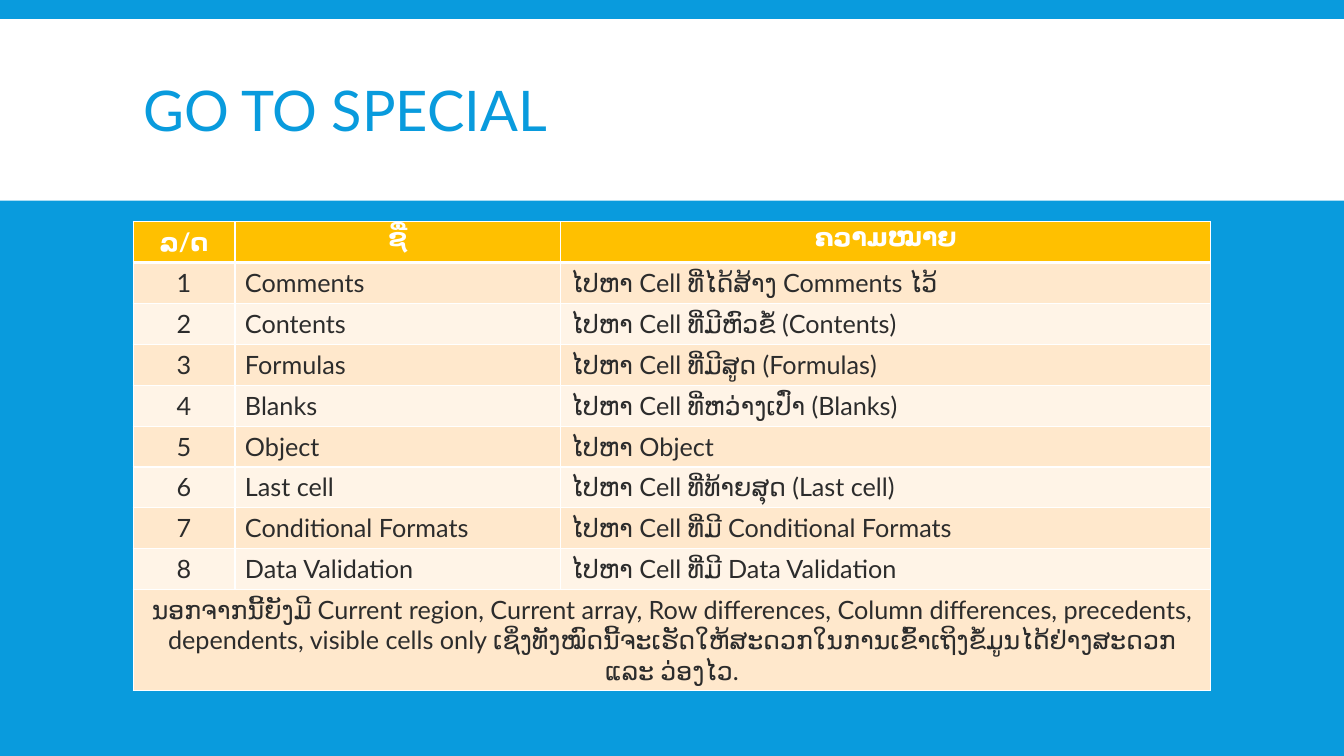
from lxml.etree import SubElement
from pptx import Presentation
from pptx.dml.color import RGBColor
from pptx.enum.shapes import MSO_SHAPE as Shape
from pptx.enum.text import MSO_ANCHOR as Anchor, PP_ALIGN as Align
from pptx.oxml.ns import qn
from pptx.util import Inches, Pt

TITLE = "GO TO SPECIAL"
HEADS = ("ລ/ດ", "ຊື່", "ຄວາມໝາຍ")
ITEMS = [
    ("Comments", "ໄປຫາ Cell ທີ່ໄດ້ສ້າງ Comments ໄວ້"),
    ("Contents", "ໄປຫາ Cell ທີ່ມີຫົວຂໍ້ (Contents)"),
    ("Formulas", "ໄປຫາ Cell ທີ່ມີສູດ (Formulas)"),
    ("Blanks", "ໄປຫາ Cell ທີ່ຫວ່າງເປົ່າ (Blanks)"),
    ("Object", "ໄປຫາ Object"),
    ("Last cell", "ໄປຫາ Cell ທີ່ທ້າຍສຸດ (Last cell)"),
    ("Conditional Formats", "ໄປຫາ Cell ທີ່ມີ Conditional Formats"),
    ("Data Validation", "ໄປຫາ Cell ທີ່ມີ Data Validation"),
]
NOTE = (
    "ນອກຈາກນີ້ຍັງມີ Current region, Current array, Row differences, "
    "Column differences, precedents, dependents, visible cells only "
    "ເຊິ່ງທັງໝົດນີ້ຈະເຮັດໃຫ້ສະດວກໃນການເຂົ້າເຖິງຂໍ້ມູນໄດ້ຢ່າງສະດວກ ແລະ ວ່ອງໄວ."
)
FONT = "Lato"
BLUE, WHITE, GOLD, INK = "099BDD", "FFFFFF", "FFC000", "2C2C2C"
BANDS = ("FFF4E7", "FFE8CC")
LEFT, WIDTH = Inches(1.32), Inches(10.7)
COLS = (1.01, 3.23, 6.45)


def paint(fill, color):
    fill.solid()
    fill.fore_color.rgb = RGBColor.from_string(color)


def style(para, size, color, bold=False):
    for run in para.runs:
        font = run.font
        font.name, font.size, font.bold = FONT, Pt(size), bold
        font.color.rgb = RGBColor.from_string(color)


def edge(cell, base):
    """Draw white borders, the lower one base points wide."""
    props = cell._tc.get_or_add_tcPr()
    sides = (("L", 1), ("R", 1), ("T", 1), ("B", base))
    for spot, (side, width) in enumerate(sides):
        line = SubElement(props, qn(f"a:ln{side}"), w=str(Pt(width)))
        SubElement(SubElement(line, qn("a:solidFill")), qn("a:srgbClr"), val=WHITE)
        props.insert(spot, line)  # borders must precede the fill


def add_title(slide):
    band = slide.shapes.add_shape(
        Shape.RECTANGLE, 0, Inches(0.19), Inches(13.33), Inches(1.8))
    band.shadow.inherit = False
    paint(band.fill, WHITE)
    band.line.fill.background()
    title = slide.shapes.title
    band._element.addnext(title._element)
    title.left, title.top = LEFT, Inches(0.31)
    title.width, title.height = WIDTH, Inches(1.65)
    frame = title.text_frame
    frame.text = TITLE
    frame.vertical_anchor = Anchor.MIDDLE
    para = frame.paragraphs[0]
    para.alignment, para.line_spacing = Align.LEFT, 0.85
    style(para, 40, BLUE)


def add_grid(slide):
    rows = [HEADS]
    rows += [(str(n), *item) for n, item in enumerate(ITEMS, 1)]
    rows.append((NOTE, "", ""))
    last = len(rows) - 1
    pitch = Inches(3.65) // last
    table = slide.shapes.add_table(
        len(rows), len(COLS), LEFT, Inches(2.2), WIDTH, pitch * len(rows)).table
    for col, width in zip(table.columns, COLS):
        col.width = Inches(width)
    for r, row in enumerate(rows):
        table.rows[r].height = pitch
        head = r == 0
        for c, text in enumerate(row):
            cell = table.cell(r, c)
            cell.text_frame.text = text
            para = cell.text_frame.paragraphs[0]
            para.alignment = Align.CENTER if head or c == 0 else Align.LEFT
            style(para, 18, WHITE if head else INK, head)
            paint(cell.fill, GOLD if head else BANDS[r % 2])
            edge(cell, 3 if head else 1)
    table.cell(last, 0).merge(table.cell(last, len(COLS) - 1))


def main():
    deck = Presentation()
    deck.slide_width, deck.slide_height = Inches(13.33), Inches(7.5)
    slide = deck.slides.add_slide(deck.slide_layouts[5])
    paint(slide.background.fill, BLUE)
    add_title(slide)
    add_grid(slide)
    deck.save("out.pptx")


if __name__ == "__main__":
    main()
